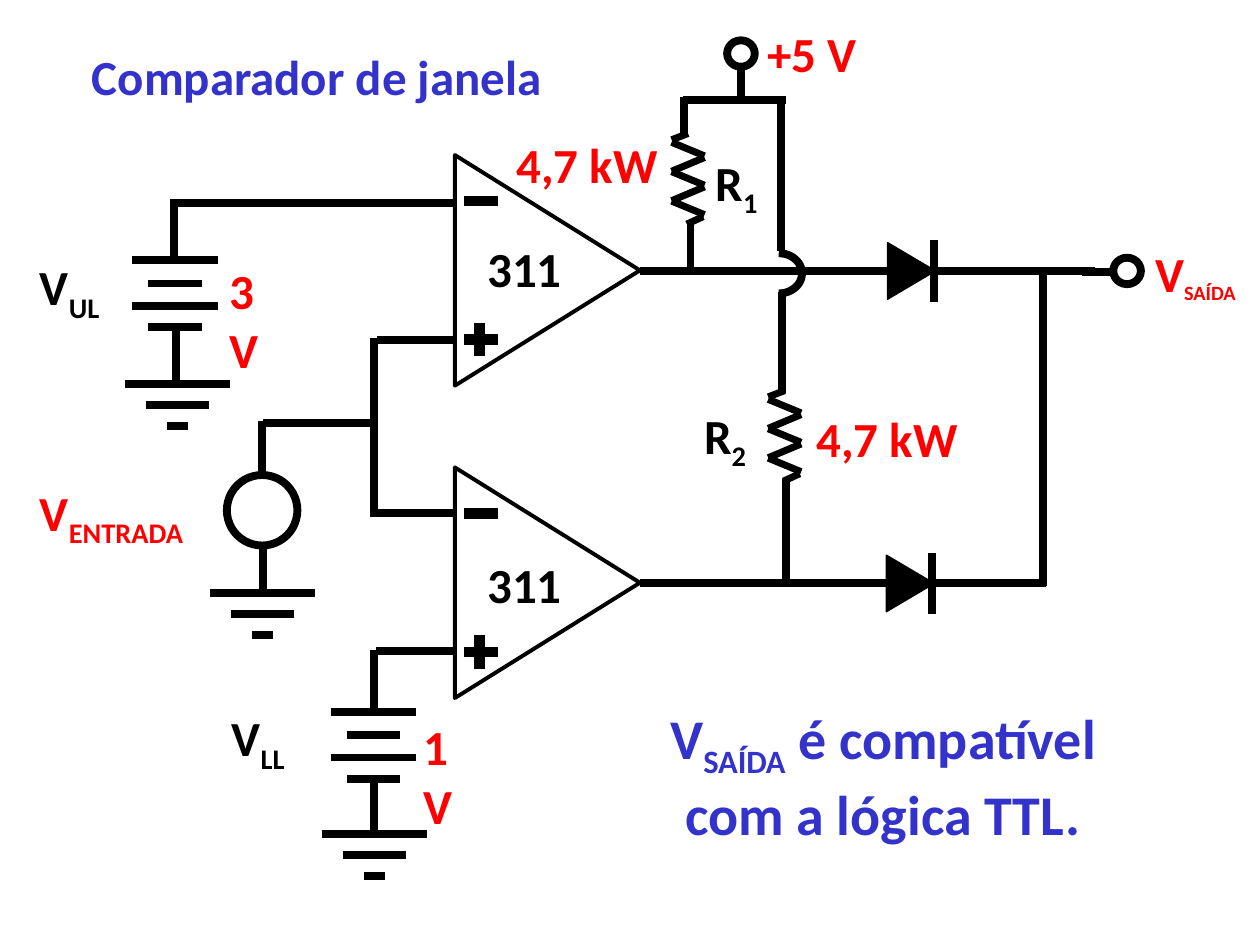
from dataclasses import dataclass
from math import cos, pi, sin
from typing import Optional

from lxml.etree import SubElement as Sub
from pptx import Presentation as Deck
from pptx.dml.color import RGBColor as Color
from pptx.enum.shapes import MSO_CONNECTOR as Link, MSO_SHAPE as Form
from pptx.enum.text import MSO_AUTO_SIZE as Fit, PP_ALIGN as Align
from pptx.oxml.ns import qn
from pptx.util import Pt

BLACK, RED, BLUE = "000000", "FF0000", "3333CC"


@dataclass
class Wire:
    x1: float
    y1: float
    x2: float
    y2: float
    width: float = 4.5


@dataclass
class Label:
    text: str
    x: float
    y: float
    w: float
    h: float
    hue: str = RED
    size: int = 28
    low: Optional[int] = None


@dataclass
class Part:
    kind: Form
    x: float
    y: float
    w: float
    h: float
    turn: int = 0
    width: float = 4.5
    fill: Optional[str] = None


def paint(fmt, hue: str) -> None:
    fmt.rgb = Color.from_string(hue)


def style(shape, width: float, fill: Optional[str] = None) -> None:
    shape.shadow.inherit = False
    if fill:
        shape.fill.solid()
        paint(shape.fill.fore_color, fill)
    else:
        shape.fill.background()
    paint(shape.line.color, BLACK)
    shape.line.width = Pt(width)


def draw_wire(wire: Wire) -> None:
    ends = map(Pt, (wire.x1, wire.y1, wire.x2, wire.y2))
    line = shapes.add_connector(Link.STRAIGHT, *ends)
    paint(line.line.color, BLACK)
    line.line.width = Pt(wire.width)
    Sub(line._element.spPr, qn("a:effectLst"))


def draw_part(part: Part) -> None:
    """Place a preset shape by its centre."""
    left, top = part.x - part.w / 2, part.y - part.h / 2
    shape = shapes.add_shape(part.kind, *map(Pt, (left, top, part.w, part.h)))
    shape.rotation = part.turn
    style(shape, part.width, part.fill)


def draw_label(label: Label) -> None:
    box = shapes.add_textbox(*map(Pt, (label.x, label.y, label.w, label.h)))
    frame = box.text_frame
    frame.word_wrap = False
    frame.auto_size = Fit.SHAPE_TO_FIT_TEXT
    lines = label.text.split("\n")
    for i, line in enumerate(lines):
        para = frame.add_paragraph() if i else frame.paragraphs[0]
        if len(lines) > 1:
            para.alignment = Align.CENTER
        for j, piece in enumerate(line.split("|")):
            run = para.add_run()
            run.text = piece
            size = label.low if j == 1 and label.low else label.size
            for key, val in {"name": "Calibri", "size": Pt(size), "bold": True}.items():
                setattr(run.font, key, val)
            paint(run.font.color, label.hue)
            if j == 1:
                run._r.get_or_add_rPr().set("baseline", "-25000")


def draw_bars(x: float, y: float, bars: list[tuple[float, float]]) -> None:
    for wide, drop in bars:
        draw_wire(Wire(x - wide / 2, y + drop, x + wide / 2, y + drop))


def draw_amp(y: float) -> None:
    draw_part(Part(Form.ISOSCELES_TRIANGLE, 312.8, y, 131.8, 105.8, 90, 2.25))
    for drop in (-39.6, 39.6):
        draw_wire(Wire(265, y + drop, 284.4, y + drop, 6))
    draw_wire(Wire(274, y + 30, 274, y + 49.2, 6))


def draw_coil(x: float, y: float) -> None:
    wide, step = 18.8, 16.8
    draw_wire(Wire(x + wide / 2, y, x, y + 3.6, 4))
    for i in range(3):
        top = y + 5 + i * step
        draw_wire(Wire(x, top, x + wide, top + 7.8, 4))
        if i < 2:
            draw_wire(Wire(x + wide, top + 8.7, x, top + 16.6, 4))
    draw_wire(Wire(x + 18, y + 47.5, x + 8.7, y + 51.8, 4))


def draw_diode(x: float, y: float) -> None:
    draw_part(Part(Form.ISOSCELES_TRIANGLE, x, y, 32.4, 27.4, 90, 0.75, BLACK))
    draw_wire(Wire(x + 12.6, y - 17.4, x + 12.6, y + 17.6))


def draw_hop(x: float, y: float, wide: float, tall: float) -> None:
    turns = [pi * i / 24 - pi / 2 for i in range(25)]
    spots = [(Pt(x + wide * cos(t)), Pt(y + tall * sin(t))) for t in turns]
    path = shapes.build_freeform(*spots[0])
    path.add_line_segments(spots[1:], close=False)
    style(path.convert_to_shape(), 4.5)


EARTH = [(60, 0), (36, 12), (12, 24)]
CELLS = [(49, 0), (30.5, 13.5), (49, 26.2), (30.5, 38.4)]
WIRES = [
    Wire(365.8, 333.4, 597.6, 333.4), Wire(212.4, 293, 259.2, 293),
    Wire(259.9, 372.2, 214.6, 372.2), Wire(365.8, 154.8, 625.7, 154.8),
    Wire(101.5, 115.9, 259.2, 115.9), Wire(259.9, 194.4, 215.3, 194.4),
    Wire(212.4, 241.9, 150.5, 241.9), Wire(150.5, 338.4, 150.5, 311),
    Wire(149.8, 240.5, 149.8, 271.4), Wire(213.8, 371.5, 213.8, 404.6),
    Wire(213.8, 445, 213.8, 478.8), Wire(100.8, 185.8, 100.8, 219.6),
    Wire(99.4, 113.8, 99.4, 147.6), Wire(596.2, 334.8, 596.2, 154.1),
    Wire(394.6, 126.7, 394.6, 155.5), Wire(447.1, 167, 447.1, 224.6),
    Wire(449.3, 273.6, 449.3, 333.4), Wire(446.4, 143.3, 446.4, 58.3),
    Wire(449.3, 56.9, 390.2, 56.9), Wire(423.4, 56.2, 423.4, 39.6),
    Wire(618.5, 155.5, 635.8, 155.5), Wire(391, 55.4, 391, 78.5),
    Wire(213.8, 193, 213.8, 295.2),
]
RINGS = [
    Part(Form.OVAL, 149.8, 291.6, 40.3, 40.3),
    Part(Form.OVAL, 423.4, 30.6, 15.8, 15.1),
    Part(Form.OVAL, 644, 154.8, 15.1, 15.8, 90),
]
LABELS = [
    Label("V|ENTRADA", 15.8, 272.2, 96.5, 45.4),
    Label("V|SAÍDA", 653, 135.4, 60.5, 42.5, low=20),
    Label("R|2", 395.3, 228.2, 38.2, 45.4, BLACK),
    Label("R|1", 401.8, 83.5, 38.2, 45.4, BLACK),
    Label("4,7 kW", 288, 73.4, 95, 41),
    Label("4,7 kW", 459.4, 229.7, 95, 41),
    Label("+5 V", 431.3, 10.1, 65.5, 41),
    Label("3 V", 123.8, 145.4, 51.1, 41),
    Label("1 V", 234.7, 406.1, 51.1, 41),
    Label("Comparador de janela", 45.4, 23, 271.4, 41, BLUE),
    Label("311", 271.4, 313.2, 56.9, 41, BLACK),
    Label("311", 271.4, 132.5, 56.9, 41, BLACK),
    Label("V|UL", 15.8, 143.3, 48.2, 45.4, BLACK),
    Label("V|LL", 125.3, 401, 44.6, 45.4, BLACK),
    Label("V|SAÍDA| é compatível\ncom a lógica TTL.", 375.1, 398.2, 259.2, 89.3, BLUE, 32),
]

deck = Deck()
deck.slide_width, deck.slide_height = Pt(720), Pt(540)
shapes = deck.slides.add_slide(deck.slide_layouts[6]).shapes
for y in (154.5, 333):
    draw_amp(y)
for x, y in ((439, 223.2), (383.8, 76.3)):
    draw_coil(x, y)
for x, y in ((520.9, 154.8), (520.2, 333.4)):
    draw_diode(x, y)
for x, y in ((101.2, 219.6), (150.1, 339.1), (214.2, 476.6)):
    draw_bars(x, y, EARTH)
for x, y in ((100.1, 148.5), (213.5, 406.7)):
    draw_bars(x, y, CELLS)
draw_hop(445, 156.2, 13.3, 11.5)
for wire in WIRES:
    draw_wire(wire)
for ring in RINGS:
    draw_part(ring)
for label in LABELS:
    draw_label(label)
deck.save("out.pptx")
